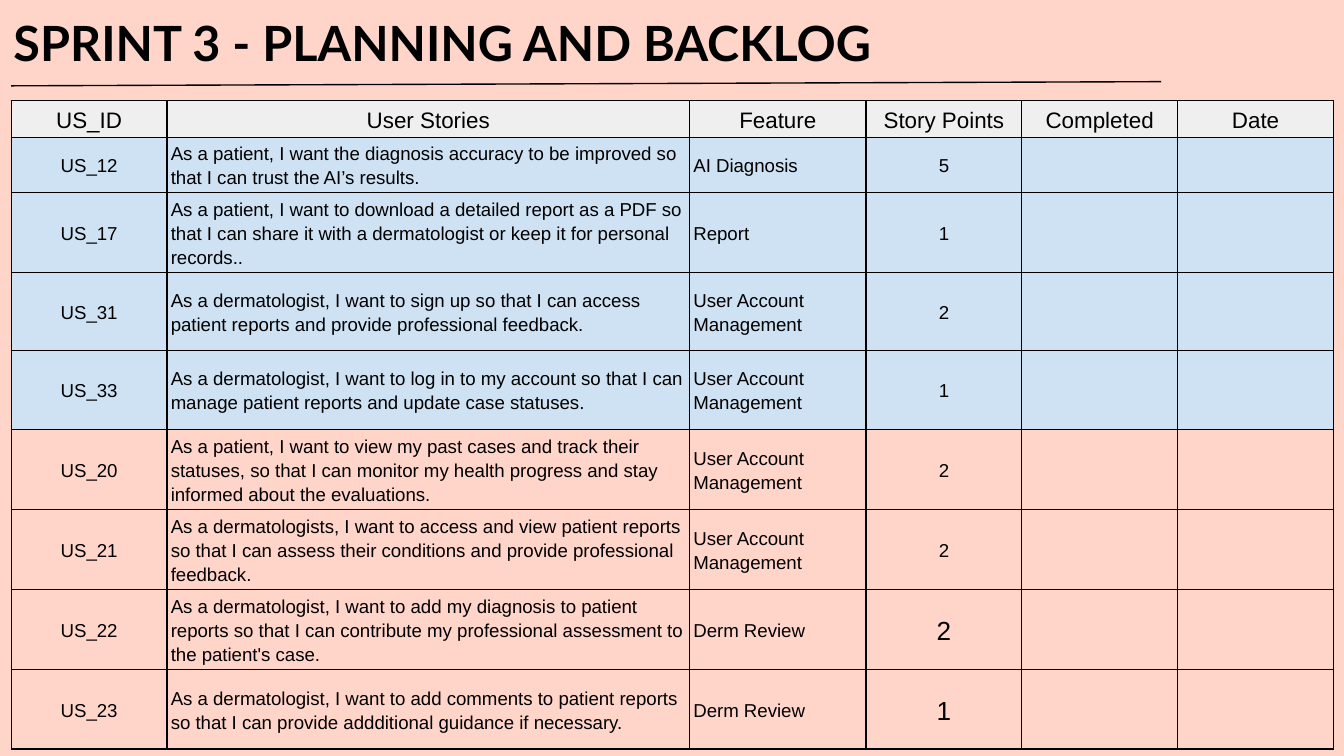
"""Build the Sprint 3 planning and backlog slide."""
from dataclasses import dataclass

from lxml import etree
from pptx import Presentation
from pptx.dml.color import RGBColor
from pptx.enum import shapes, text
from pptx.oxml import ns
from pptx.util import Pt

COLORS = {"page": "FFD5CA", "ink": "000000", "header": "EFEFEF", "planned": "CFE2F3"}
LINE_WIDTH = 0.75
COLUMN_WIDTHS = (83.5, 280, 94.5, 83.5, 83.5, 83.5)
ROW_HEIGHTS = (19.5, 29.5, 43, 42, 42, 43, 43, 43, 42.5)
HEADERS = ("US_ID", "User Stories", "Feature", "Story Points", "Completed", "Date")
LEFT_COLUMNS = (1, 2)
ACCOUNT = "User Account Management"


@dataclass
class Story:
    id: str
    story: str
    feature: str
    points: int
    fill: str | None = None
    points_size: float = 10


STORIES = (
    Story("US_12", "As a patient, I want the diagnosis accuracy to be improved so that I can "
          "trust the AI’s results.", "AI Diagnosis", 5, "planned"),
    Story("US_17", "As a patient, I want to download a detailed report as a PDF so that I can "
          "share it with a dermatologist or keep it for personal records..",
          "Report", 1, "planned"),
    Story("US_31", "As a dermatologist, I want to sign up so that I can access patient reports "
          "and provide professional feedback.", ACCOUNT, 2, "planned"),
    Story("US_33", "As a dermatologist, I want to log in to my account so that I can manage "
          "patient reports and update case statuses.", ACCOUNT, 1, "planned"),
    Story("US_20", "As a patient, I want to view my past cases and track their statuses, so that "
          "I can monitor my health progress and stay informed about the evaluations.", ACCOUNT, 2),
    Story("US_21", "As a dermatologists, I want to access and view patient reports so that I can "
          "assess their conditions and provide professional feedback.", ACCOUNT, 2),
    Story("US_22", "As a dermatologist, I want to add my diagnosis to patient reports so that I "
          "can contribute my professional assessment to the patient's case.",
          "Derm Review", 2, points_size=14),
    Story("US_23", "As a dermatologist, I want to add comments to patient reports so that I can "
          "provide addditional guidance if necessary.", "Derm Review", 1, points_size=14),
)


def rgb(name: str) -> RGBColor:
    return RGBColor.from_string(COLORS[name])


def apply(target, values: dict) -> None:
    for name, value in values.items():
        setattr(target, name, value)


def format_text(p, font: str, size: float, align, bold: bool = False) -> None:
    p.alignment = align
    apply(p.font, {"name": font, "size": Pt(size), "bold": bold})
    p.font.color.rgb = rgb("ink")


def add_title(s, title: str) -> None:
    sp = s.shapes.title
    apply(sp, {"left": Pt(0), "top": Pt(0), "width": Pt(530.5), "height": Pt(46)})
    tf = sp.text_frame
    tf.text = title
    margins = {f"margin_{side}": Pt(7.2) for side in ("left", "top", "right", "bottom")}
    apply(tf, margins | {"vertical_anchor": text.MSO_ANCHOR.TOP,
                         "auto_size": text.MSO_AUTO_SIZE.NONE, "word_wrap": True})
    format_text(tf.paragraphs[0], "Lato", 26, text.PP_ALIGN.LEFT, True)


def add_rule(s, x1: float, y1: float, x2: float, y2: float) -> None:
    cx = s.shapes.add_connector(shapes.MSO_CONNECTOR.STRAIGHT, Pt(x1), Pt(y1), Pt(x2), Pt(y2))
    cx.line.color.rgb = rgb("ink")
    cx.line.width = Pt(LINE_WIDTH)
    etree.SubElement(cx._element.spPr, ns.qn("a:effectLst"))


def add_borders(cell) -> None:
    tc_pr = cell._tc.get_or_add_tcPr()
    for side in "LRTB":
        ln = etree.SubElement(tc_pr, ns.qn(f"a:ln{side}"), w=str(Pt(LINE_WIDTH)))
        fill = etree.SubElement(ln, ns.qn("a:solidFill"))
        etree.SubElement(fill, ns.qn("a:srgbClr"), val=COLORS["ink"])


def fill_cell(cell, value: str, size: float, align, fill: str | None) -> None:
    apply(cell, {"margin_left": Pt(2), "margin_right": Pt(2), "margin_top": Pt(1.4),
                 "margin_bottom": Pt(1.4), "vertical_anchor": text.MSO_ANCHOR.MIDDLE})
    add_borders(cell)
    if fill:
        cell.fill.solid()
        cell.fill.fore_color.rgb = rgb(fill)
    else:
        cell.fill.background()
    if value:
        cell.text = value
        p = cell.text_frame.paragraphs[0]
        p.line_spacing = 1.15
        format_text(p, "Arial", size, align)


def add_backlog(s, left: float, top: float) -> None:
    frame = s.shapes.add_table(len(ROW_HEIGHTS), len(COLUMN_WIDTHS), Pt(left), Pt(top),
                               Pt(sum(COLUMN_WIDTHS)), Pt(sum(ROW_HEIGHTS)))
    table = frame.table
    apply(table, {"first_row": False, "horz_banding": False})
    for column, width in zip(table.columns, COLUMN_WIDTHS):
        column.width = Pt(width)
    for row, height in zip(table.rows, ROW_HEIGHTS):
        row.height = Pt(height)
    for c, header in enumerate(HEADERS):
        fill_cell(table.cell(0, c), header, 12, text.PP_ALIGN.CENTER, "header")
    for r, story in enumerate(STORIES, 1):
        values = (story.id, story.story, story.feature, str(story.points), "", "")
        for c, value in enumerate(values):
            align = text.PP_ALIGN.LEFT if c in LEFT_COLUMNS else text.PP_ALIGN.CENTER
            size = story.points_size if HEADERS[c] == "Story Points" else 10
            fill_cell(table.cell(r, c), value, size, align, story.fill)


def main() -> None:
    prs = Presentation()
    apply(prs, {"slide_width": Pt(720), "slide_height": Pt(405)})
    s = prs.slides.add_slide(prs.slide_layouts.get_by_name("Title Only"))
    s.background.fill.solid()
    s.background.fill.fore_color.rgb = rgb("page")
    add_title(s, "SPRINT 3 - PLANNING AND BACKLOG")
    add_rule(s, 6, 46, 622, 43.75)
    add_backlog(s, 6, 54)
    prs.save("out.pptx")


if __name__ == "__main__":
    main()
